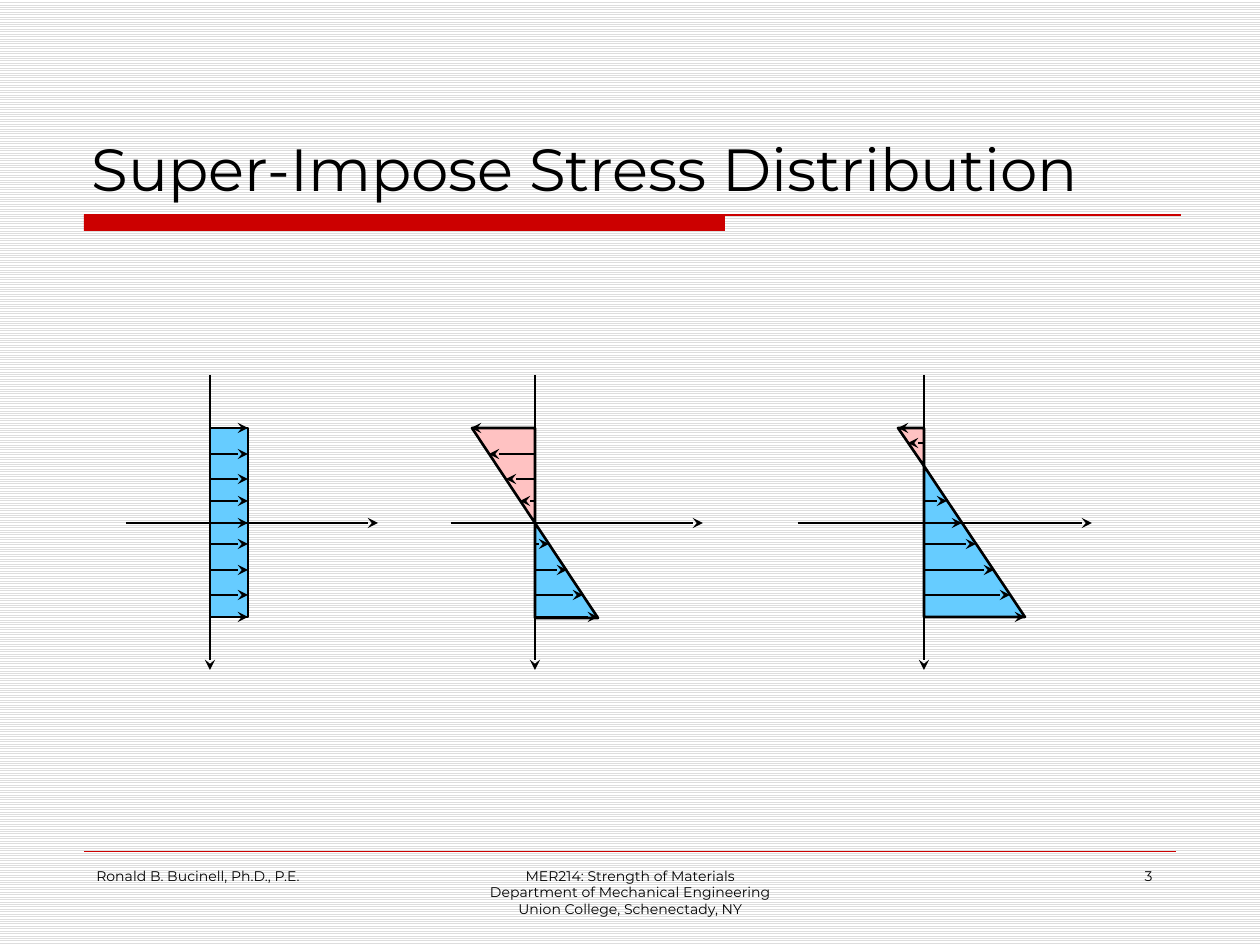
from lxml.etree import SubElement
from pptx import Presentation
from pptx.dml.color import RGBColor
from pptx.enum.dml import MSO_PATTERN
from pptx.enum.shapes import MSO_CONNECTOR, MSO_SHAPE
from pptx.enum.text import MSO_ANCHOR, MSO_AUTO_SIZE, PP_ALIGN
from pptx.oxml.ns import qn
from pptx.util import Pt

SCALE = 914400 / 126
FONT = "Montserrat"
BLACK, RED, BLUE, PINK = "000000", "CC0000", "66CCFF", "FFC2C2"
ROWS = [53, 79, 104, 126, 148, 169, 195, 220, 242]
TOP, NEUTRAL, BOTTOM = ROWS[0], ROWS[4], ROWS[-1]
AXIAL, BENDING = 38, 63


def px(length):
    return round(length * SCALE)


def color(value):
    return RGBColor.from_string(value)


def set_background(slide):
    fill = slide.background.fill
    fill.patterned()
    fill.pattern = MSO_PATTERN.LIGHT_HORIZONTAL
    fill.fore_color.rgb = color("DDDDDD")
    fill.back_color.rgb = color("FFFFFF")


def add_line(slide, start, end, line_color=BLACK, width=1.5, arrow=False):
    points = [px(value) for value in (*start, *end)]
    connector = slide.shapes.add_connector(MSO_CONNECTOR.STRAIGHT, *points)
    connector.line.color.rgb = color(line_color)
    connector.line.width = Pt(width)
    if arrow:
        line = connector.line._get_or_add_ln()
        SubElement(line, qn("a:tailEnd"), type="stealth")
    SubElement(connector._element.spPr, qn("a:effectLst"))


def style_shape(shape, fill_color):
    shape.shadow.inherit = False
    shape.fill.solid()
    shape.fill.fore_color.rgb = color(fill_color)
    shape.line.color.rgb = color(BLACK)
    shape.line.width = Pt(1.5)


def add_preset(slide, kind, left, top, width, height, fill_color):
    shape = slide.shapes.add_shape(kind, px(left), px(top), px(width), px(height))
    style_shape(shape, fill_color)
    return shape


def add_turned_triangle(slide, left, top, width, height, rotation, fill_color):
    offset = (width - height) / 2
    shape = add_preset(slide, MSO_SHAPE.ISOSCELES_TRIANGLE,
                       left + offset, top - offset, height, width, fill_color)
    shape.adjustments[0] = 1
    shape.rotation = rotation


def add_polygon(slide, points, fill_color):
    start, *others = [(px(x), px(y)) for x, y in points]
    builder = slide.shapes.build_freeform(*start, scale=1.0)
    builder.add_line_segments(others, close=True)
    style_shape(builder.convert_to_shape(), fill_color)


def add_run(paragraph, text, size):
    run = paragraph.add_run()
    run.text = text
    run.font.name = FONT
    run.font.size = Pt(size)
    run.font.color.rgb = color(BLACK)


def add_header(slide, left, top, width, height):
    title = slide.shapes.title
    title.left, title.top = px(left), px(top)
    title.width, title.height = px(width), px(height)
    frame = title.text_frame
    frame.auto_size = MSO_AUTO_SIZE.NONE
    frame.vertical_anchor = MSO_ANCHOR.BOTTOM
    frame.paragraphs[0].alignment = PP_ALIGN.LEFT
    add_run(frame.paragraphs[0], "Super-Impose Stress Distribution", 34)
    rule_left, rule_top = left + 5, top + 173
    bar = add_preset(slide, MSO_SHAPE.RECTANGLE, rule_left, rule_top, 641, 16, RED)
    bar.line.fill.background()
    add_line(slide, (rule_left, rule_top), (rule_left + 1097, rule_top), RED, 0.75)


def add_footer(slide, left, top, width):
    add_line(slide, (left, top), (left + width, top), RED, 0.25)
    columns = [
        (0, 262, PP_ALIGN.LEFT, ["Ronald B. Bucinell, Ph.D., P.E."]),
        (347, 399, PP_ALIGN.CENTER, ["MER214: Strength of Materials",
                                     "Department of Mechanical Engineering",
                                     "Union College, Schenectady, NY"]),
        (819, 262, PP_ALIGN.RIGHT, ["3"]),
    ]
    for offset, column_width, alignment, lines in columns:
        box = slide.shapes.add_textbox(px(left + offset), px(top + 10),
                                       px(column_width), px(63))
        frame = box.text_frame
        frame.word_wrap = True
        for index, text in enumerate(lines):
            paragraph = frame.add_paragraph() if index else frame.paragraphs[0]
            paragraph.alignment = alignment
            add_run(paragraph, text, 8)


def add_axes(slide, left, top, width, height, origin):
    add_line(slide, (left, top + NEUTRAL), (left + width, top + NEUTRAL), arrow=True)
    add_line(slide, (origin, top), (origin, top + height), arrow=True)


def add_arrows(slide, origin, top, rows, stress):
    for row in rows:
        add_line(slide, (origin, top + row), (origin + stress(row), top + row), arrow=True)


def axial_stress(row):
    return AXIAL


def bending_stress(row):
    return round(BENDING * (row - NEUTRAL) / (BOTTOM - NEUTRAL))


def combined_stress(row):
    return axial_stress(row) + bending_stress(row)


def add_axial_plot(slide, left, top, width, height):
    origin = left + 84
    add_preset(slide, MSO_SHAPE.RECTANGLE, origin, top + TOP, AXIAL, BOTTOM - TOP, BLUE)
    add_axes(slide, left, top, width, height, origin)
    add_arrows(slide, origin, top, ROWS, axial_stress)


def add_bending_plot(slide, left, top, width, height):
    origin = left + 84
    half = NEUTRAL - TOP
    add_turned_triangle(slide, origin - BENDING, top + TOP, BENDING, half, 270, PINK)
    add_turned_triangle(slide, origin, top + NEUTRAL, BENDING, half, 90, BLUE)
    add_axes(slide, left, top, width, height, origin)
    rows = [row for row in ROWS if row != NEUTRAL]
    add_arrows(slide, origin, top, rows, bending_stress)


def add_combined_plot(slide, left, top, width, height):
    origin = left + 126
    zero = top + NEUTRAL - round(AXIAL * (BOTTOM - NEUTRAL) / BENDING)
    for row, fill_color in ((TOP, PINK), (BOTTOM, BLUE)):
        tip = origin + combined_stress(row)
        add_polygon(slide, [(origin, top + row), (tip, top + row), (origin, zero)], fill_color)
    add_axes(slide, left, top, width, height, origin)
    add_arrows(slide, origin, top, [TOP, 68, *ROWS[3:]], combined_stress)


def main():
    presentation = Presentation()
    presentation.slide_width, presentation.slide_height = px(1260), px(945)
    slide = presentation.slides.add_slide(presentation.slide_layouts[5])
    set_background(slide)
    add_header(slide, 79, 42, 1103, 168)
    add_footer(slide, 84, 851, 1092)
    add_axial_plot(slide, 126, 375, 252, 295)
    add_bending_plot(slide, 451, 375, 252, 295)
    add_combined_plot(slide, 798, 375, 294, 295)
    presentation.save("out.pptx")


if __name__ == "__main__":
    main()
